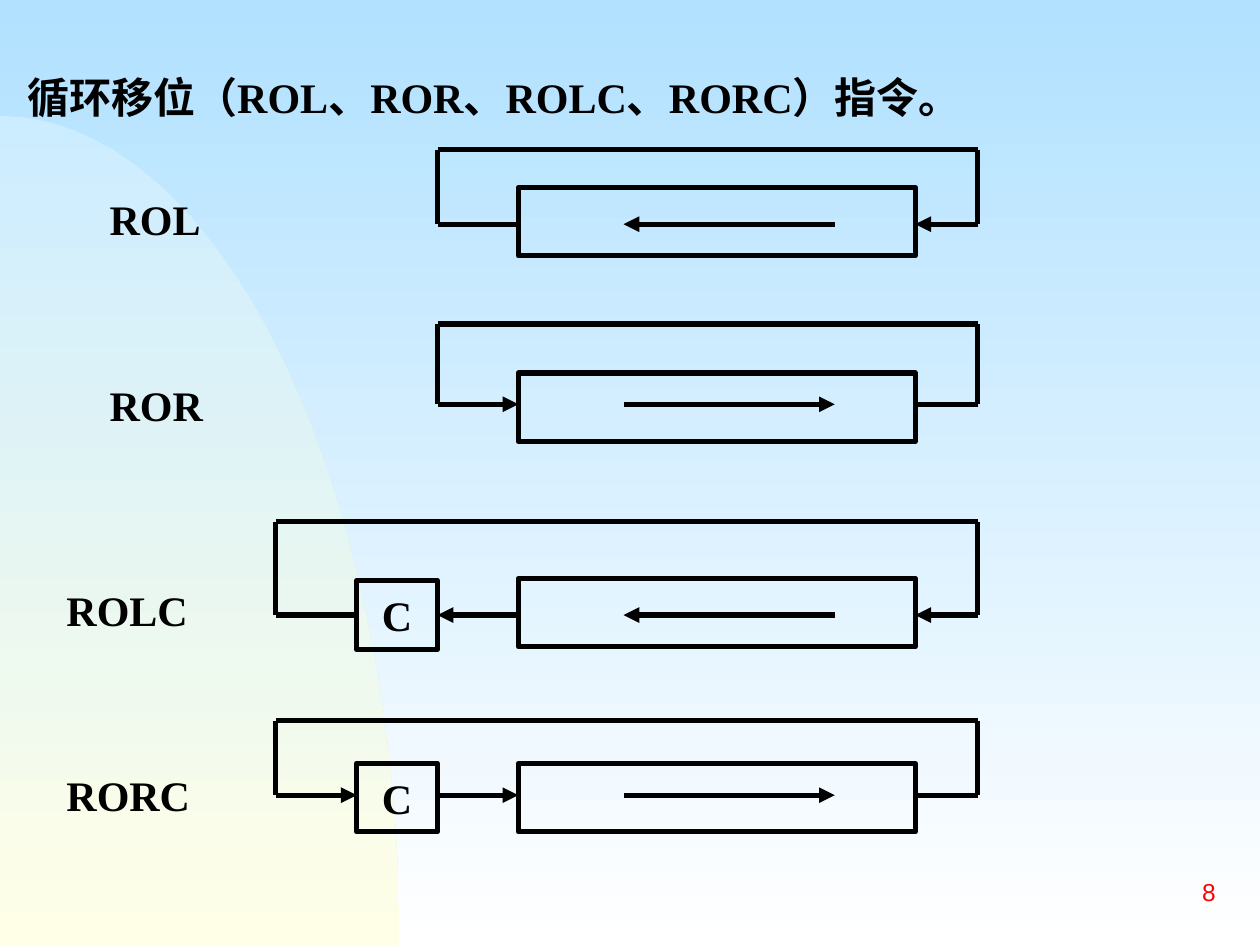
from dataclasses import dataclass
from itertools import pairwise
from math import cos, pi, sin

from lxml import etree
from pptx import Presentation
from pptx.dml.color import RGBColor
from pptx.enum.shapes import MSO_CONNECTOR, MSO_SHAPE
from pptx.enum.text import MSO_ANCHOR, PP_ALIGN
from pptx.oxml.ns import qn
from pptx.util import Cm, Pt

STRAIGHT = MSO_CONNECTOR.STRAIGHT
RECTANGLE = MSO_SHAPE.RECTANGLE
MIDDLE, TOP = MSO_ANCHOR.MIDDLE, MSO_ANCHOR.TOP
LEFT, CENTER, RIGHT = PP_ALIGN.LEFT, PP_ALIGN.CENTER, PP_ALIGN.RIGHT


@dataclass(frozen=True)
class Theme:
    ink: str = "000000"
    number: str = "FF0000"
    sky: tuple = ("B1E1FF", "FFFFFF")
    hill: tuple = ("CCECFF", "FFFFE7")
    body_font: str = "Times New Roman"
    number_font: str = "Arial"
    body_size: int = 24
    number_size: int = 14
    stroke: int = 3


@dataclass(frozen=True)
class Rotation:
    name: str
    top: float
    register_drop: float
    axis_drop: float
    rightward: bool
    carry_drop: float | None = None


THEME = Theme()
PAGE_WIDTH, PAGE_HEIGHT = 25.4, 19.05
ROTATIONS = (
    Rotation("ROL", 3.02, 0.76, 1.5, False),
    Rotation("ROR", 6.53, 0.99, 1.62, True),
    Rotation("ROLC", 10.52, 1.14, 1.88, False, 1.19),
    Rotation("RORC", 14.53, 0.86, 1.5, True, 0.86),
)


def color(code):
    return RGBColor.from_string(code)


def shade(fill, colors):
    fill.gradient()
    fill.gradient_angle = 270
    for stop, code in zip(fill.gradient_stops, colors):
        stop.color.rgb = color(code)


def write(frame, text, align=LEFT, anchor=TOP, wrap=True,
          font=THEME.body_font, size=THEME.body_size, ink=THEME.ink, bold=True):
    frame.word_wrap = wrap
    frame.vertical_anchor = anchor
    para = frame.paragraphs[0]
    para.text = text
    para.alignment = align
    para.font.name = font
    para.font.size = Pt(size)
    para.font.bold = bold
    para.font.color.rgb = color(ink)


def add_text(page, box, text, **style):
    write(page.shapes.add_textbox(*map(Cm, box)).text_frame, text, **style)


def add_cell(page, box, text=""):
    cell = page.shapes.add_shape(RECTANGLE, *map(Cm, box))
    cell.shadow.inherit = False
    cell.fill.background()
    cell.line.color.rgb = color(THEME.ink)
    cell.line.width = Pt(THEME.stroke)
    if text:
        write(cell.text_frame, text, align=CENTER, anchor=MIDDLE)


def add_route(page, points, rightward):
    segments = list(pairwise(points if rightward else points[::-1]))
    for index, (start, end) in enumerate(segments, 1):
        line = page.shapes.add_connector(STRAIGHT, *map(Cm, start + end))
        line.line.color.rgb = color(THEME.ink)
        line.line.width = Pt(THEME.stroke)
        if index == len(segments):
            etree.SubElement(line.line._get_or_add_ln(), qn("a:tailEnd"), type="triangle")
        etree.SubElement(line._element.spPr, qn("a:effectLst"))


def add_hill(page, left, top, width, height, steps=60):
    angles = [pi / 2 * step / steps for step in range(steps + 1)]
    arc = [(Cm(left + width * sin(angle)), Cm(top + height * (1 - cos(angle))))
           for angle in angles]
    builder = page.shapes.build_freeform(*arc[0])
    builder.add_line_segments(arc[1:] + [(Cm(left), Cm(top + height))])
    hill = builder.convert_to_shape()
    hill.shadow.inherit = False
    hill.line.fill.background()
    shade(hill.fill, THEME.hill)


def add_rotation(page, left, width, rotation):
    has_carry = rotation.carry_drop is not None
    top, rightward = rotation.top, rotation.rightward
    axis = top + rotation.axis_drop
    register_top = top + rotation.register_drop
    register_left, register_width, cell_height = left + 9.36, 8, 1.38
    register_right = register_left + register_width
    carry_left, carry_width = left + 6.1, 1.63
    carry_right = carry_left + carry_width
    loop_left = left + 4.47 if has_carry else carry_right
    loop_right = left + width
    entry = carry_left if has_carry else register_left

    label_left = left if has_carry else left + 0.87
    add_text(page, (label_left, register_top, 3.25, 1.27), rotation.name)
    add_cell(page, (register_left, register_top, register_width, cell_height))
    add_route(page, [(register_left + 2.12, axis), (register_right - 1.62, axis)], rightward)
    if has_carry:
        add_cell(page, (carry_left, top + rotation.carry_drop, carry_width, cell_height), "C")
        add_route(page, [(carry_right, axis), (register_left, axis)], rightward)
    add_route(page, [(register_right, axis), (loop_right, axis), (loop_right, top),
                     (loop_left, top), (loop_left, axis), (entry, axis)], rightward)


def main():
    deck = Presentation()
    deck.slide_width, deck.slide_height = Cm(PAGE_WIDTH), Cm(PAGE_HEIGHT)
    page = deck.slides.add_slide(deck.slide_layouts[6])
    shade(page.background.fill, THEME.sky)
    add_hill(page, 0, 2.34, 8.05, PAGE_HEIGHT - 2.34)
    add_text(page, (0.3, 1.32, 20.93, 1.27),
             "循环移位（ROL、ROR、ROLC、RORC）指令。", wrap=False)
    for rotation in ROTATIONS:
        add_rotation(page, 1.09, 18.62, rotation)
    add_text(page, (19.48, 17.35, 5.28, 1.27), "8", align=RIGHT, anchor=MIDDLE,
             font=THEME.number_font, size=THEME.number_size,
             ink=THEME.number, bold=False)
    deck.save("out.pptx")


if __name__ == "__main__":
    main()
